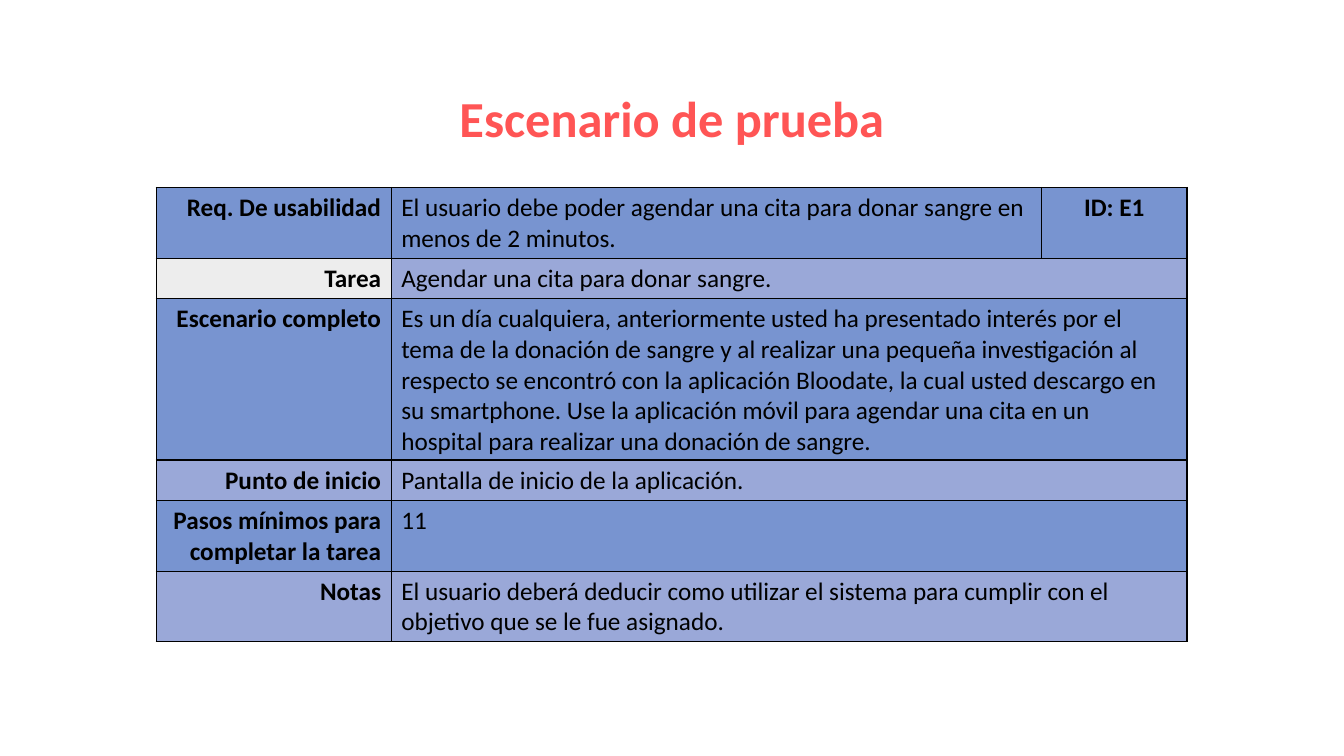
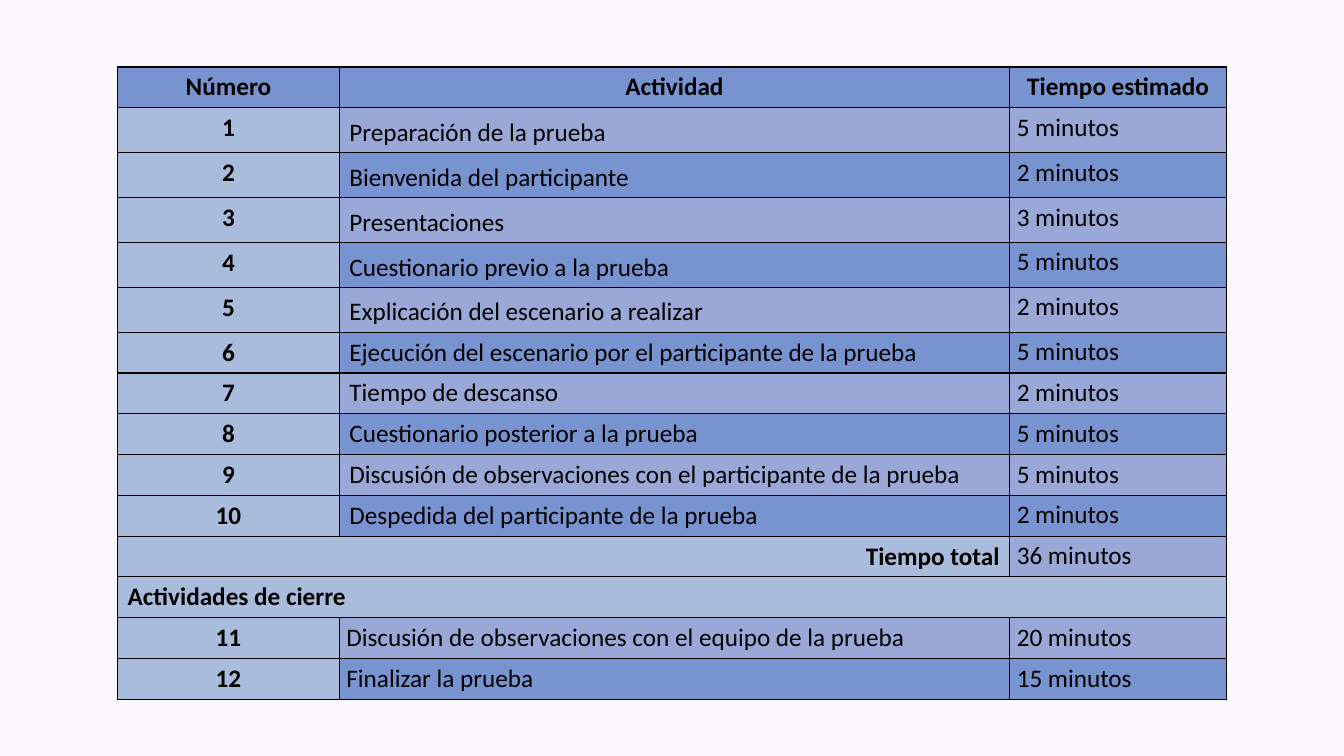
from dataclasses import dataclass

from lxml import etree
from pptx import Presentation
from pptx.dml.color import RGBColor
from pptx.enum.text import MSO_ANCHOR, MSO_AUTO_SIZE, PP_ALIGN as Align
from pptx.oxml.ns import qn
from pptx.util import Inches, Pt

# Shared style
COLORS = {
    "white": "FFFFFF",
    "lilac": "FCF8FF",
    "title": "FF5555",
    "text": "000000",
    "border": "000000",
    "dark": "7894D0",
    "light": "9AA8D8",
    "number": "A9BCDC",
    "gray": "EDEDED",
}
FONT = "Calibri"
WIDTH, HEIGHT = Inches(13.33), Inches(7.5)
TITLE_ONLY, BLANK = 5, 6


@dataclass
class Look:
    """How the text of a cell is set."""
    align: Align = Align.LEFT
    bold: bool = False
    spacing: float = 1.0
    slim: bool = False


LABEL = Look(Align.RIGHT, bold=True)
HEADER = Look(Align.CENTER, bold=True)
SECTION = Look(bold=True)
PLAIN = Look()
LOOSE = Look(Align.JUSTIFY, spacing=1.15)
CLOSING = Look(Align.JUSTIFY, spacing=1.15, slim=True)
TIME = Look(spacing=1.15, slim=True)

# Content: scenario rows hold label, text and number of text lines
SCENARIO = [
    ("Req. De usabilidad",
     "El usuario debe poder agendar una cita para donar sangre en menos de 2 minutos.", 2),
    ("Tarea", "Agendar una cita para donar sangre.", 1),
    ("Escenario completo",
     "Es un día cualquiera, anteriormente usted ha presentado interés por el tema de la "
     "donación de sangre y al realizar una pequeña investigación al respecto se encontró "
     "con la aplicación Bloodate, la cual usted descargo en su smartphone. Use la "
     "aplicación móvil para agendar una cita en un hospital para realizar una donación "
     "de sangre.", 5),
    ("Punto de inicio", "Pantalla de inicio de la aplicación.", 1),
    ("Pasos mínimos para completar la tarea", "11", 2),
    ("Notas",
     "El usuario deberá deducir como utilizar el sistema para cumplir con el objetivo "
     "que se le fue asignado.", 2),
]
HEADINGS = ["Número", "Actividad", "Tiempo estimado"]
ACTIVITIES = [
    ("Preparación de la prueba", 5, LOOSE),
    ("Bienvenida del participante", 2, LOOSE),
    ("Presentaciones", 3, LOOSE),
    ("Cuestionario previo a la prueba", 5, LOOSE),
    ("Explicación del escenario a realizar", 2, LOOSE),
    ("Ejecución del escenario por el participante de la prueba", 5, PLAIN),
    ("Tiempo de descanso", 2, PLAIN),
    ("Cuestionario posterior a la prueba", 5, PLAIN),
    ("Discusión de observaciones con el participante de la prueba", 5, PLAIN),
    ("Despedida del participante de la prueba", 2, PLAIN),
]
CLOSING_ACTIVITIES = [
    ("Discusión de observaciones con el equipo de la prueba", 20, CLOSING),
    ("Finalizar la prueba", 15, CLOSING),
]


def across(percent):
    return round(WIDTH * percent / 100)


def down(percent):
    return round(HEIGHT * percent / 100)


def rgb(name):
    return RGBColor.from_string(COLORS[name])


def band(row):
    return "light" if row % 2 else "dark"


def add_slide(presentation, layout, background):
    slide = presentation.slides.add_slide(presentation.slide_layouts[layout])
    fill = slide.background.fill
    fill.solid()
    fill.fore_color.rgb = rgb(background)
    return slide


def add_run(paragraph, text, size, color, bold):
    run = paragraph.add_run()
    run.text = text
    font = run.font
    font.name, font.size, font.bold = FONT, Pt(size), bold
    font.color.rgb = rgb(color)


def set_title(slide, text):
    title = slide.shapes.title
    title.left, title.top = across(33.3), down(10.8)
    title.width, title.height = across(33.4), down(9.5)
    frame = title.text_frame
    frame.word_wrap = False
    frame.auto_size = MSO_AUTO_SIZE.SHAPE_TO_FIT_TEXT
    frame.vertical_anchor = MSO_ANCHOR.TOP
    paragraph = frame.paragraphs[0]
    paragraph.alignment = Align.CENTER
    add_run(paragraph, text, 36, "title", True)


def add_borders(cell):
    properties = cell._tc.get_or_add_tcPr()
    for position, side in enumerate(("a:lnL", "a:lnR", "a:lnT", "a:lnB")):
        line = etree.Element(qn(side), w=str(Pt(1)))
        fill = etree.SubElement(line, qn("a:solidFill"))
        etree.SubElement(fill, qn("a:srgbClr"), val=COLORS["border"])
        properties.insert(position, line)


def add_grid(slide, left, top, columns, rows):
    """Add a plain bordered table; all lengths are shares of the slide."""
    frame = slide.shapes.add_table(len(rows), len(columns), across(left), down(top),
                                   across(sum(columns)), down(sum(rows)))
    table = frame.table
    table.first_row = table.horz_banding = False
    for column, share in zip(table.columns, columns):
        column.width = across(share)
    for row, share in zip(table.rows, rows):
        row.height = down(share)
    for cell in table.iter_cells():
        add_borders(cell)
    return table


def fill_cell(table, row, column, text, look, color, span=1):
    cell = table.cell(row, column)
    if span > 1:
        cell.merge(table.cell(row, column + span - 1))
    cell.fill.solid()
    cell.fill.fore_color.rgb = rgb(color)
    if look.slim:
        cell.margin_left = cell.margin_right = Inches(0.07)
        cell.margin_top = cell.margin_bottom = 0
    paragraph = cell.text_frame.paragraphs[0]
    paragraph.alignment = look.align
    paragraph.line_spacing = look.spacing
    add_run(paragraph, text, 18, "text", look.bold)


def add_activity(table, row, number, activity):
    name, minutes, look = activity
    fill_cell(table, row, 0, str(number), HEADER, "number")
    fill_cell(table, row, 1, name, look, band(row))
    fill_cell(table, row, 2, f"{minutes} minutos", TIME, band(row))


def build_scenario(presentation):
    slide = add_slide(presentation, TITLE_ONLY, "white")
    set_title(slide, "Escenario de prueba")
    heights = [1.35 + 4 * lines for _, _, lines in SCENARIO]
    table = add_grid(slide, 11.63, 24.8, [17.48, 48.39, 10.83], heights)
    for row, (label, text, _) in enumerate(SCENARIO):
        label_color = "gray" if label == "Tarea" else band(row)
        fill_cell(table, row, 0, label, LABEL, label_color)
        fill_cell(table, row, 1, text, PLAIN, band(row), span=2 if row else 1)
    fill_cell(table, 0, 2, "ID: E1", HEADER, band(0))


def build_schedule(presentation):
    slide = add_slide(presentation, BLANK, "lilac")
    total_row = len(ACTIVITIES) + 1
    closing_row = total_row + 2
    row_count = closing_row + len(CLOSING_ACTIVITIES)
    table = add_grid(slide, 8.75, 8.85, [16.5, 49.88, 16.13], [5.4] * row_count)
    for column, heading in enumerate(HEADINGS):
        fill_cell(table, 0, column, heading, HEADER, band(0))
    for number, activity in enumerate(ACTIVITIES, 1):
        add_activity(table, number, number, activity)

    # Total and closing section
    total = sum(minutes for _, minutes, _ in ACTIVITIES)
    fill_cell(table, total_row, 0, "Tiempo total", LABEL, "number", span=2)
    fill_cell(table, total_row, 2, f"{total} minutos", TIME, band(total_row))
    fill_cell(table, total_row + 1, 0, "Actividades de cierre", SECTION, "number", span=3)
    for offset, activity in enumerate(CLOSING_ACTIVITIES):
        add_activity(table, closing_row + offset, total_row + offset, activity)


def main():
    presentation = Presentation()
    presentation.slide_width, presentation.slide_height = WIDTH, HEIGHT
    build_scenario(presentation)
    build_schedule(presentation)
    presentation.save("out.pptx")


if __name__ == "__main__":
    main()
